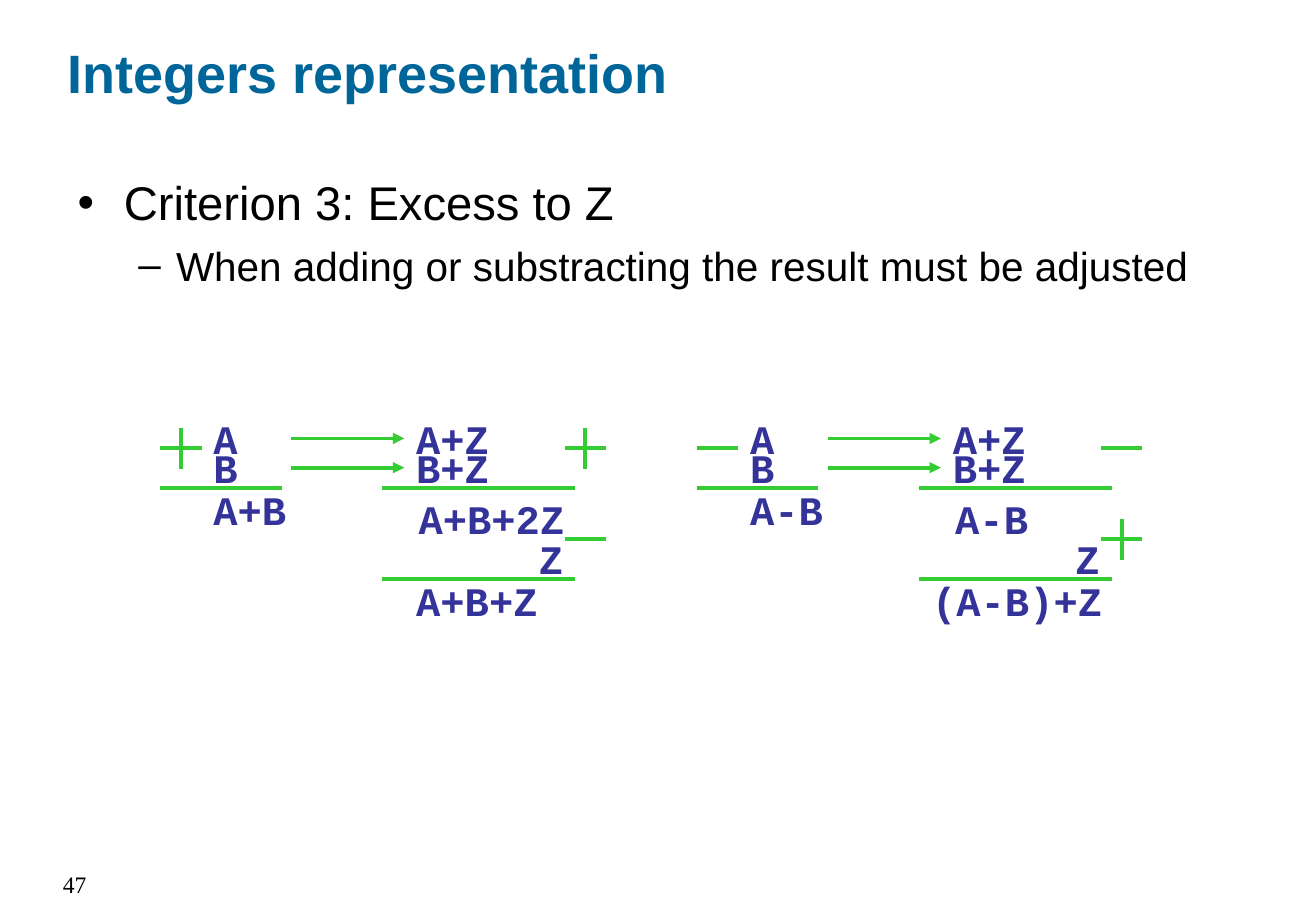
from dataclasses import dataclass

from lxml.etree import SubElement
from pptx import Presentation
from pptx.dml.color import RGBColor
from pptx.enum.shapes import MSO_CONNECTOR
from pptx.enum.text import MSO_ANCHOR, MSO_AUTO_SIZE, PP_ALIGN
from pptx.oxml.ns import qn
from pptx.util import Inches, Pt

BLACK = RGBColor(0x00, 0x00, 0x00)
TEAL = RGBColor(0x00, 0x66, 0x99)
INDIGO = RGBColor(0x33, 0x33, 0x99)
GREEN = RGBColor(0x33, 0xCC, 0x33)
CHARACTER_WIDTH = 0.2
LABEL_HEIGHT = 0.5
SIGN_SIZE = 0.34
FIRST_ROW, SECOND_ROW = 3.36, 3.6
UPPER_SIGN, LOWER_SIGN = 3.69, 4.44
UPPER_RULE, LOWER_RULE = 4.02, 4.77


@dataclass
class Calculation:
    left: float
    plain_result: str
    excess_result: str
    adjusted_result: str
    adjusted_offset: float
    adding: bool


CALCULATIONS = [
    Calculation(1.32, "A+B", "A+B+2Z", "A+B+Z", 2.01, True),
    Calculation(5.74, "A-B", "A-B", "(A-B)+Z", 1.84, False),
]


def write(paragraph, text: str, *, size: float, color: RGBColor, name="Arial", bold=False, shadow=False):
    run = paragraph.add_run()
    run.text = text
    font = run.font
    font.size, font.bold = Pt(size), bold
    font.color.rgb = color
    if shadow:
        effects = SubElement(run._r.get_or_add_rPr(), qn("a:effectLst"))
        outer = SubElement(effects, qn("a:outerShdw"), dist="17961", dir="2700000")
        SubElement(outer, qn("a:srgbClr"), val="808080")
    font.name = name


def place(shape, left: float, top: float, width: float, height: float):
    shape.left, shape.top = Inches(left), Inches(top)
    shape.width, shape.height = Inches(width), Inches(height)


def add_bullet(paragraph, character: str, margin: float, indent: float):
    properties = paragraph._p.get_or_add_pPr()
    properties.set("marL", str(Inches(margin)))
    properties.set("indent", str(Inches(indent)))
    color = SubElement(properties, qn("a:buClr"))
    SubElement(color, qn("a:srgbClr"), val=str(BLACK))
    SubElement(properties, qn("a:buFont"), typeface="Arial")
    SubElement(properties, qn("a:buChar"), char=character)


def add_label(group, text: str, left: float, top: float):
    width = CHARACTER_WIDTH * (len(text) + 1)
    label = group.shapes.add_textbox(Inches(left), Inches(top), Inches(width), Inches(LABEL_HEIGHT))
    frame = label.text_frame
    frame.word_wrap = False
    frame.auto_size = MSO_AUTO_SIZE.SHAPE_TO_FIT_TEXT
    frame.vertical_anchor = MSO_ANCHOR.MIDDLE
    write(frame.paragraphs[0], text, size=24, color=INDIGO, name="Courier New", bold=True, shadow=True)
    return label


def add_line(group, left: float, top: float, right: float, bottom: float, target=None):
    connector = group.shapes.add_connector(
        MSO_CONNECTOR.STRAIGHT, Inches(left), Inches(top), Inches(right), Inches(bottom)
    )
    connector.line.color.rgb = GREEN
    connector.line.width = Pt(2.25)
    properties = connector._element.spPr
    if target is not None:
        connector.end_connect(target, 1)
        SubElement(properties.find(qn("a:ln")), qn("a:tailEnd"), type="triangle")
    SubElement(properties, qn("a:effectLst"))


def add_sign(group, left: float, middle: float, plus: bool):
    add_line(group, left, middle, left + SIGN_SIZE, middle)
    if plus:
        center, half = left + SIGN_SIZE / 2, SIGN_SIZE / 2
        add_line(group, center, middle + half, center, middle - half)


def add_calculation(slide, calculation: Calculation):
    group = slide.shapes.add_group_shape()
    left = calculation.left
    for operand, top in (("A", FIRST_ROW), ("B", SECOND_ROW)):
        add_label(group, operand, left + 0.34, top)
        excess = add_label(group, f"{operand}+Z", left + 2.01, top)
        middle = top + LABEL_HEIGHT / 2
        add_line(group, left + 1.08, middle, left + 2.01, middle, excess)
    add_label(group, calculation.plain_result, left + 0.34, 3.94)
    add_label(group, calculation.excess_result, left + 2.03, 4.02)
    add_label(group, "Z", left + 3.02, 4.35)
    add_label(group, calculation.adjusted_result, left + calculation.adjusted_offset, 4.69)
    add_line(group, left, UPPER_RULE, left + 1, UPPER_RULE)
    for rule in (UPPER_RULE, LOWER_RULE):
        add_line(group, left + 1.83, rule, left + 3.42, rule)
    add_sign(group, left, UPPER_SIGN, calculation.adding)
    add_sign(group, left + 3.33, UPPER_SIGN, calculation.adding)
    add_sign(group, left + 3.33, LOWER_SIGN, not calculation.adding)


def main():
    presentation = Presentation()
    presentation.slide_width, presentation.slide_height = Inches(10.84), Inches(7.5)
    slide = presentation.slides.add_slide(presentation.slide_layouts[1])

    title = slide.shapes.title
    place(title, 0.46, 0.28, 9.06, 0.63)
    title.text_frame.auto_size = MSO_AUTO_SIZE.NONE
    title.text_frame.vertical_anchor = MSO_ANCHOR.BOTTOM
    heading = title.text_frame.paragraphs[0]
    heading.alignment = PP_ALIGN.LEFT
    write(heading, "Integers representation", size=32, color=TEAL, bold=True)

    body = slide.placeholders[1]
    place(body, 0.54, 1.38, 9.84, 2.03)
    body.text_frame.auto_size = MSO_AUTO_SIZE.NONE
    criterion = body.text_frame.paragraphs[0]
    criterion.space_before = Pt(0)
    add_bullet(criterion, "•", 0.38, -0.38)
    write(criterion, "Criterion 3: Excess to Z", size=28, color=BLACK)
    adjustment = body.text_frame.add_paragraph()
    adjustment.level = 1
    adjustment.space_before = Pt(6)
    add_bullet(adjustment, "–", 0.81, -0.31)
    write(adjustment, "When adding or substracting the result must be adjusted", size=24, color=BLACK)

    for calculation in CALCULATIONS:
        add_calculation(slide, calculation)

    page_number = slide.shapes.add_textbox(Inches(0), Inches(7.11), Inches(0.81), Inches(0.39))
    page_number.text_frame.word_wrap = True
    number = page_number.text_frame.paragraphs[0]
    number.alignment = PP_ALIGN.RIGHT
    write(number, "47", size=14, color=BLACK, name="Times New Roman")

    presentation.save("out.pptx")


if __name__ == "__main__":
    main()
